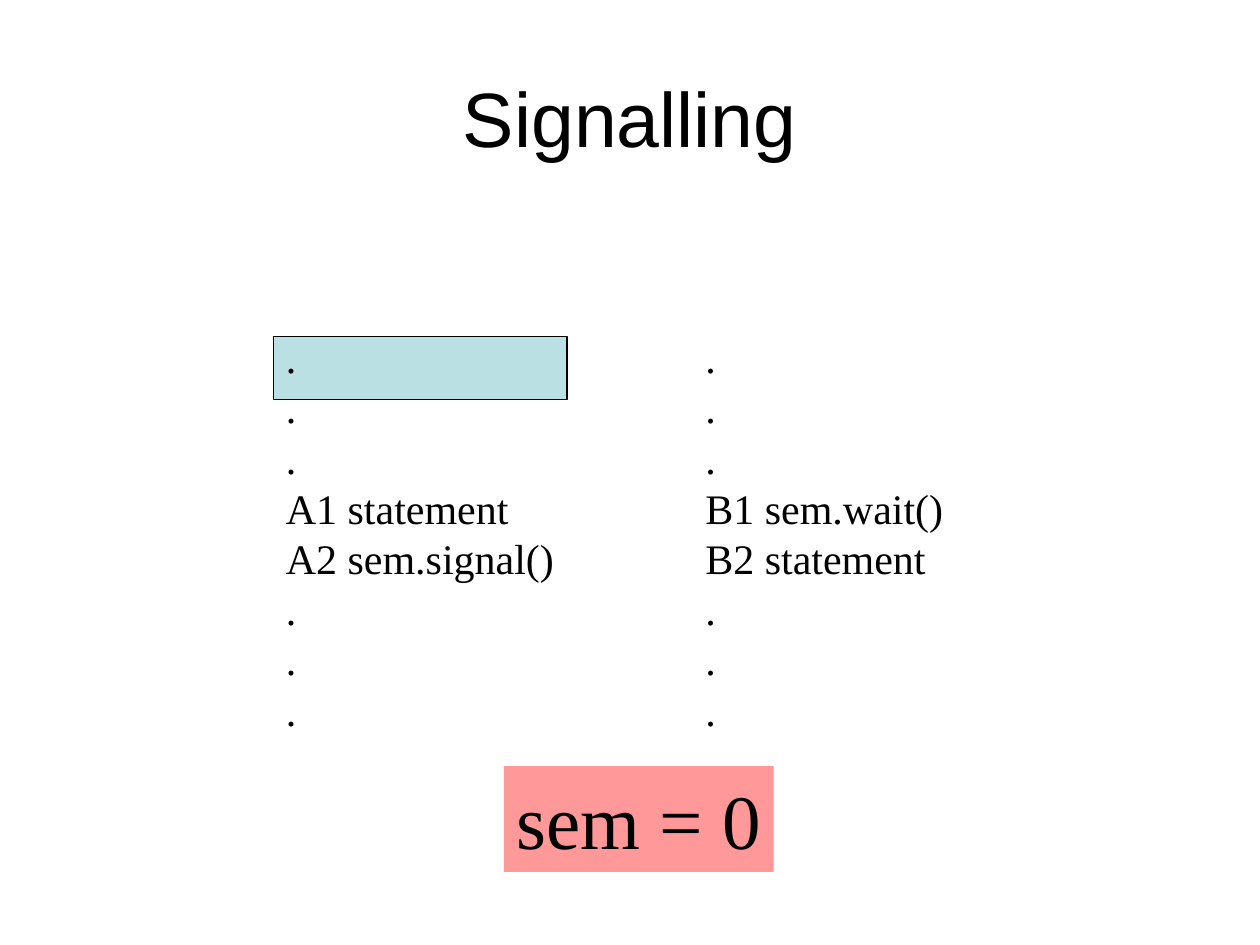
from dataclasses import dataclass

from pptx import Presentation
from pptx.dml.color import RGBColor
from pptx.enum.shapes import MSO_SHAPE as Preset
from pptx.enum.text import MSO_ANCHOR as Anchor, PP_ALIGN as Align
from pptx.util import Inches, Pt

COLORS = {"text": "000000", "highlight": "BBE0E3", "semaphore": "FF9999"}
SERIF = "Times New Roman"
DOTS = [".", ".", "."]
LINE_FACTOR = 1.2


@dataclass(frozen=True)
class Box:
    left: float
    top: float
    width: float
    height: float

    def lengths(self) -> list:
        return [Inches(n) for n in (self.left, self.top, self.width, self.height)]


@dataclass(frozen=True)
class Thread:
    box: Box
    statements: list


THREADS = [
    Thread(Box(2.17, 2.58, 2.33, 3.3), ["A1 statement", "A2 sem.signal()"]),
    Thread(Box(5.5, 2.58, 2.09, 3.3), ["B1 sem.wait()", "B2 statement"]),
]


def add_rectangle(slide, box: Box, color: str, outline: str = ""):
    rectangle = slide.shapes.add_shape(Preset.RECTANGLE, *box.lengths())
    rectangle.shadow.inherit = False
    rectangle.fill.solid()
    rectangle.fill.fore_color.rgb = RGBColor.from_string(COLORS[color])
    if outline:
        rectangle.line.color.rgb = RGBColor.from_string(COLORS[outline])
        rectangle.line.width = Pt(0.75)
    else:
        rectangle.line.fill.background()
    return rectangle


def write_text(shape, lines: list, *, size: float, font: str = SERIF,
               align=Align.LEFT, anchor=Anchor.TOP, wrap: bool = False,
               spacing: float = 0) -> None:
    frame = shape.text_frame
    frame.word_wrap = wrap
    frame.vertical_anchor = anchor
    frame.text = "\n".join(lines)
    for paragraph in frame.paragraphs:
        paragraph.alignment = align
        if spacing:
            paragraph.line_spacing = Pt(size * spacing)
        paragraph.font.size = Pt(size)
        paragraph.font.name = font
        paragraph.font.color.rgb = RGBColor.from_string(COLORS["text"])


def main() -> None:
    """Build the slide on signalling between two threads."""
    deck = Presentation()
    deck.slide_width, deck.slide_height = Inches(10), Inches(7.5)
    slide = deck.slides.add_slide(deck.slide_layouts[6])

    add_rectangle(slide, Box(2.17, 2.67, 2.33, 0.5), "highlight", outline="text")
    title = slide.shapes.add_textbox(*Box(0.5, 0.3, 9, 1.25).lengths())
    write_text(title, ["Signalling"], size=44, font="Arial",
               align=Align.CENTER, anchor=Anchor.MIDDLE, wrap=True)
    for thread in THREADS:
        column = slide.shapes.add_textbox(*thread.box.lengths())
        write_text(column, DOTS + thread.statements + DOTS, size=24,
                   spacing=LINE_FACTOR)
    semaphore = add_rectangle(slide, Box(4, 6.08, 2.14, 0.84), "semaphore")
    write_text(semaphore, ["sem = 0"], size=44, spacing=LINE_FACTOR)

    deck.save("out.pptx")


if __name__ == "__main__":
    main()
